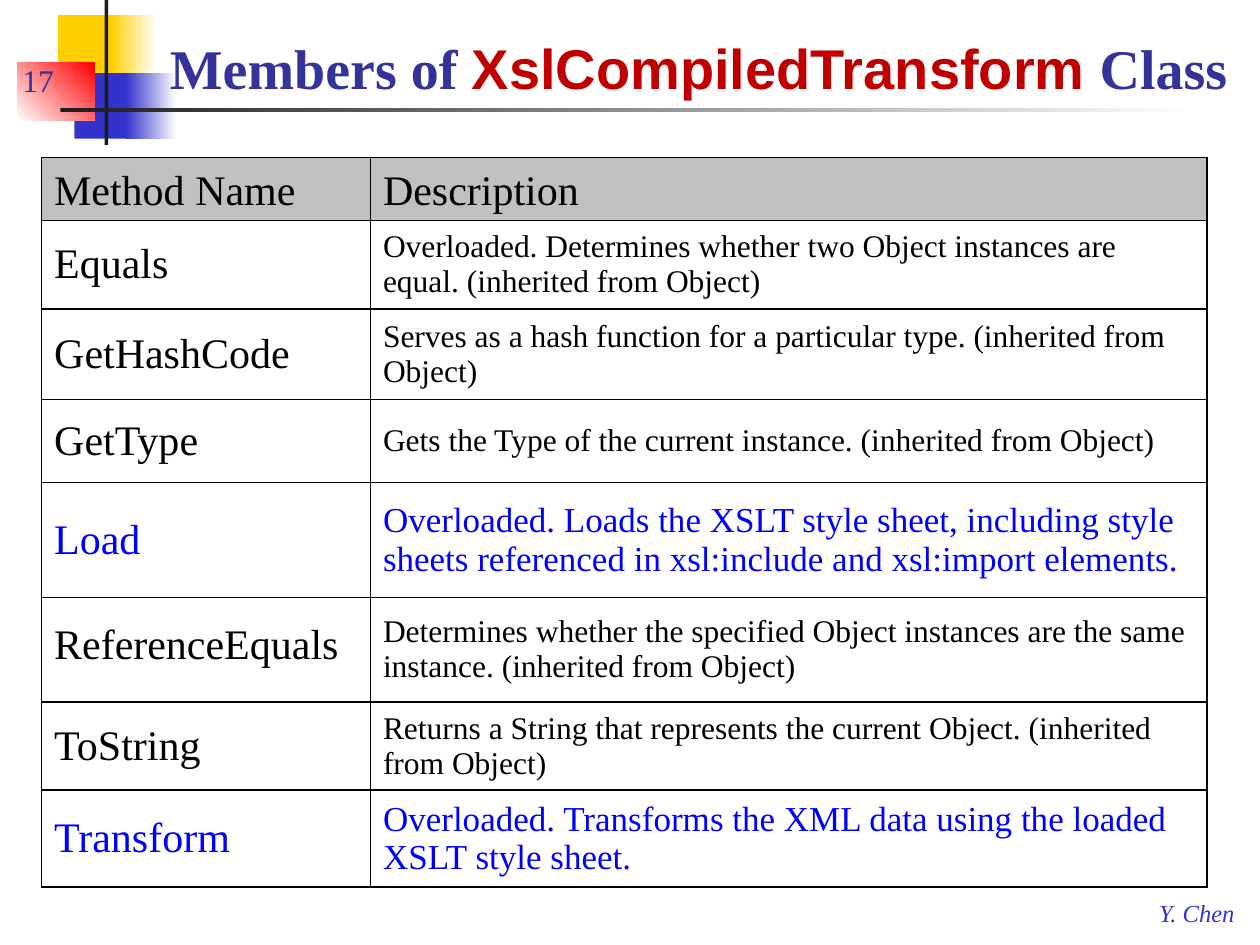
from lxml import etree
from pptx import Presentation
from pptx.dml.color import RGBColor
from pptx.enum.shapes import MSO_SHAPE
from pptx.enum.text import MSO_ANCHOR, MSO_AUTO_SIZE
from pptx.oxml.ns import qn
from pptx.util import Pt

RECTANGLE = MSO_SHAPE.RECTANGLE
TOP, MIDDLE, BOTTOM = MSO_ANCHOR.TOP, MSO_ANCHOR.MIDDLE, MSO_ANCHOR.BOTTOM
FIT_SHAPE = MSO_AUTO_SIZE.SHAPE_TO_FIT_TEXT
PX = 9144
SERIF, SANS = "Times New Roman", "Arial"
COLORS = {
    "white": "FFFFFF", "black": "000000", "yellow": "FFCF01", "indigo": "3333CC",
    "red": "FF0000", "ink": "1C1C1C", "navy": "333399", "crimson": "C00000",
    "grey": "C0C0C0", "blue": "0000FF",
}
METHODS = [
    ("Equals", "Overloaded. Determines whether two Object instances are equal. (inherited from Object)", 70),
    ("GetHashCode", "Serves as a hash function for a particular type. (inherited from Object)", 72),
    ("GetType", "Gets the Type of the current instance. (inherited from Object)", 66),
    ("Load", "Overloaded. Loads the XSLT style sheet, including style sheets referenced in "
             "xsl:include and xsl:import elements.", 91),
    ("ReferenceEquals", "Determines whether the specified Object instances are the same instance. "
                        "(inherited from Object)", 83),
    ("ToString", "Returns a String that represents the current Object. (inherited from Object)", 70),
    ("Transform", "Overloaded. Transforms the XML data using the loaded XSLT style sheet.", 77),
]
HIGHLIGHTED = {"Load", "Transform"}


class SlideBuilder:
    """Draws styled elements on the current slide, measured in hundredths of an inch."""

    def __init__(self, slide):
        self.slide = slide

    def color(self, name):
        return RGBColor.from_string(COLORS[name])

    def place(self, *lengths):
        return [length * PX for length in lengths]

    def style(self, span, size, color, font=SERIF, bold=False, italic=False):
        span.font.size = Pt(size)
        span.font.name = font
        span.font.bold = bold
        span.font.italic = italic
        span.font.color.rgb = self.color(color)

    def block(self, bounds, color, end_color=None, angle=0):
        shape = self.slide.shapes.add_shape(RECTANGLE, *self.place(*bounds))
        shape.shadow.inherit = False
        shape.line.fill.background()
        if end_color is None:
            shape.fill.solid()
            shape.fill.fore_color.rgb = self.color(color)
            return
        shape.fill.gradient()
        shape.fill.gradient_angle = angle
        for stop, name in zip(shape.fill.gradient_stops, (color, end_color)):
            stop.color.rgb = self.color(name)

    def text(self, bounds, spans, anchor=BOTTOM, wrap=True):
        frame = self.slide.shapes.add_textbox(*self.place(*bounds)).text_frame
        frame.word_wrap = wrap
        frame.vertical_anchor = anchor
        if not wrap:
            frame.auto_size = FIT_SHAPE
        for words, look in spans:
            span = frame.paragraphs[0].add_run()
            span.text = words
            self.style(span, **look)

    def table(self, left, top, widths, heights):
        bounds = self.place(left, top, sum(widths), sum(heights))
        table = self.slide.shapes.add_table(len(heights), len(widths), *bounds).table
        table.first_row = table.horz_banding = False
        for column, width in zip(table.columns, widths):
            column.width = width * PX
        for row, height in zip(table.rows, heights):
            row.height = height * PX
        return table

    def cell(self, cell, words, size, color="black", fill="white", anchor=MIDDLE, spacing=None):
        cell.text = words
        cell.vertical_anchor = anchor
        if fill:
            cell.fill.solid()
            cell.fill.fore_color.rgb = self.color(fill)
        else:
            cell.fill.background()
        para = cell.text_frame.paragraphs[0]
        before = etree.SubElement(para._p.get_or_add_pPr(), qn("a:spcBef"))
        etree.SubElement(before, qn("a:spcPct"), val="20000")
        if spacing:
            para.line_spacing = spacing
        self.style(para.runs[0], size, color)
        self.borders(cell)

    def borders(self, cell):
        properties = cell._tc.get_or_add_tcPr()
        for index, side in enumerate("LRTB"):
            line = etree.Element(qn(f"a:ln{side}"), w=str(Pt(1)))
            solid = etree.SubElement(line, qn("a:solidFill"))
            etree.SubElement(solid, qn("a:srgbClr"), val=COLORS["black"])
            properties.insert(index, line)


def main():
    deck = Presentation()
    deck.slide_width, deck.slide_height = 1000 * PX, 750 * PX
    page = SlideBuilder(deck.slides.add_slide(deck.slide_layouts[6]))

    page.block((46, 12, 48, 52), "yellow")
    page.block((88, 12, 36, 52), "yellow", "white")
    page.block((59, 58, 46, 52), "indigo")
    page.block((100, 58, 40, 52), "indigo", "white")
    page.block((14, 50, 61, 46), "white", "red", angle=45)
    page.block((83, 0, 3, 115), "ink")
    page.block((48, 86, 900, 3), "ink", "white")

    page.text((910, 708, 82, 33), [("Y. Chen", dict(size=14, color="indigo", italic=True))],
              anchor=TOP, wrap=False)
    page.text((8, 33, 83, 50), [("17", dict(size=18, color="navy"))])
    heading = dict(size=32, color="navy", bold=True)
    page.text((125, 17, 867, 68), [
        ("Members of ", heading),
        ("XslCompiledTransform", heading | dict(color="crimson", font=SANS)),
        (" Class", heading),
    ])

    heights = [50] + [height for _, _, height in METHODS]
    table = page.table(33, 125, (261, 664), heights)
    for column, label in enumerate(("Method Name", "Description")):
        page.cell(table.cell(0, column), label, 24, fill="grey", anchor=BOTTOM)
    for row, (name, description, _) in enumerate(METHODS, start=1):
        color, size = ("blue", 20) if name in HIGHLIGHTED else ("black", 18)
        layout = dict(fill=None, anchor=TOP, spacing=1.4) if name == "ReferenceEquals" else {}
        page.cell(table.cell(row, 0), name, 24, color, **layout)
        page.cell(table.cell(row, 1), description, size, color)

    deck.save("out.pptx")


if __name__ == "__main__":
    main()
